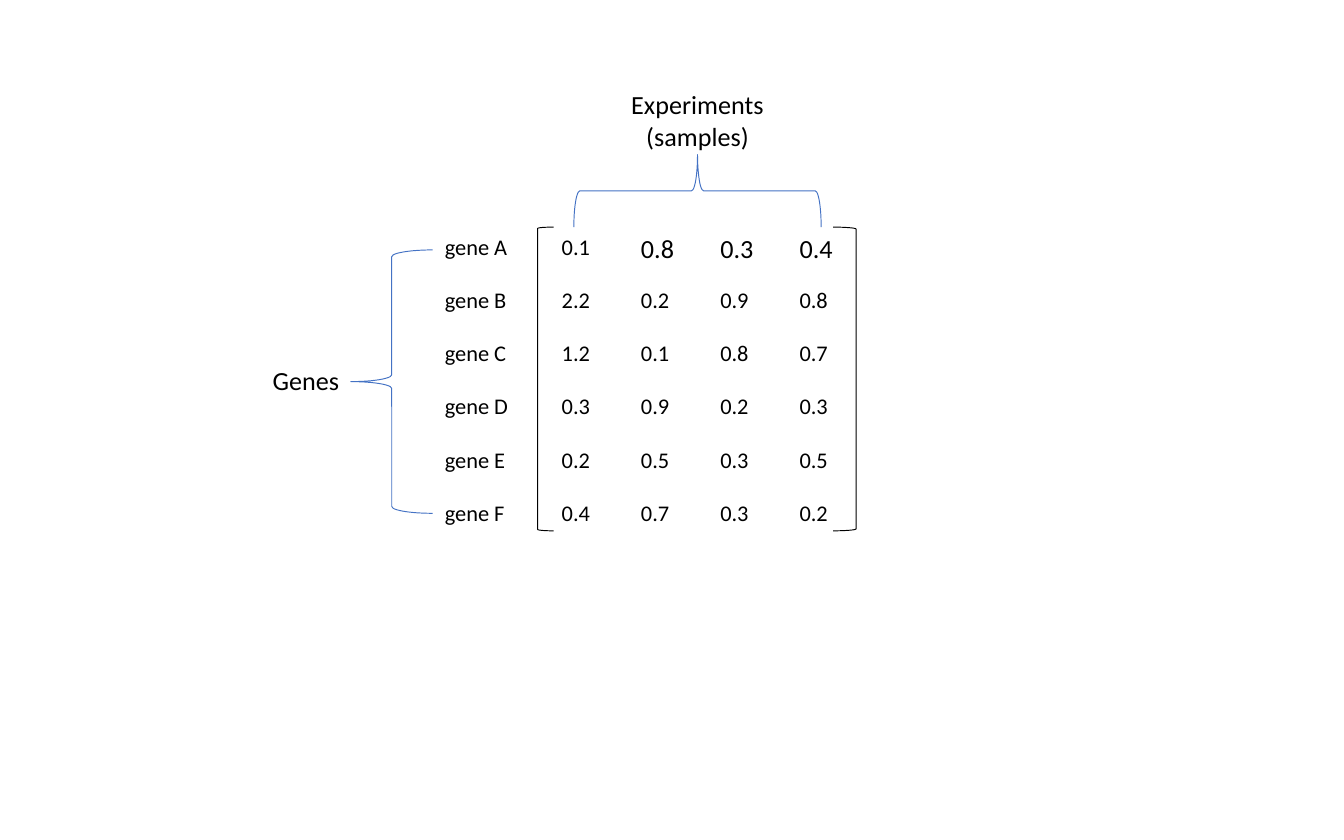
from pptx import Presentation
from pptx.dml.color import RGBColor
from pptx.enum.shapes import MSO_SHAPE
from pptx.enum.text import MSO_AUTO_SIZE, PP_ALIGN
from pptx.util import Inches, Pt

COLORS = {"text": "000000", "bracket": "000000", "brace": "4472C4"}
FONT = "Calibri"

EXPRESSION = [
    ("gene A", "0.1", "0.8", "0.3", "0.4"),
    ("gene B", "2.2", "0.2", "0.9", "0.8"),
    ("gene C", "1.2", "0.1", "0.8", "0.7"),
    ("gene D", "0.3", "0.9", "0.2", "0.3"),
    ("gene E", "0.2", "0.5", "0.3", "0.5"),
    ("gene F", "0.4", "0.7", "0.3", "0.2"),
]
LARGE_CELLS = {(0, 2), (0, 3), (0, 4)}
TABLE_BOX = (3.21, 1.69, 3.23, 2.38)
GENE_WIDTH, VALUE_WIDTH = 0.87, 0.59

# preset, box, colour, rotation
OUTLINES = [
    (MSO_SHAPE.LEFT_BRACKET, (4, 1.69, 0.12, 2.26), "bracket", 0),
    (MSO_SHAPE.RIGHT_BRACKET, (6.2, 1.69, 0.17, 2.26), "bracket", 0),
    (MSO_SHAPE.LEFT_BRACE, (4.92, 0.5, 0.54, 1.84), "brace", 90),
    (MSO_SHAPE.LEFT_BRACE, (2.61, 1.86, 0.61, 1.96), "brace", 0),
]
LABELS = [
    (["Genes"], (1.93, 2.66, 0.7, 0.34), PP_ALIGN.LEFT),
    (["Experiments", "(samples)"], (4.59, 0.61, 1.2, 0.57), PP_ALIGN.CENTER),
]


def inches(box):
    return [Inches(value) for value in box]


def write_text(text_frame, lines, size=12, align=PP_ALIGN.LEFT):
    for index, line in enumerate(lines):
        paragraph = text_frame.paragraphs[0] if index == 0 else text_frame.add_paragraph()
        paragraph.alignment = align
        run = paragraph.add_run()
        run.text = line
        run.font.name = FONT
        run.font.size = Pt(size)
        run.font.color.rgb = RGBColor.from_string(COLORS["text"])


def add_expression_table(slide):
    row_count, column_count = len(EXPRESSION), len(EXPRESSION[0])
    table = slide.shapes.add_table(row_count, column_count, *inches(TABLE_BOX)).table
    table.first_row = False
    table.horz_banding = False
    for index, column in enumerate(table.columns):
        column.width = Inches(VALUE_WIDTH if index else GENE_WIDTH)
    for row_index, values in enumerate(EXPRESSION):
        for column_index, value in enumerate(values):
            cell = table.cell(row_index, column_index)
            cell.fill.background()
            size = 14 if (row_index, column_index) in LARGE_CELLS else 12
            write_text(cell.text_frame, [value], size=size)


def add_outline(slide, preset, box, color, rotation):
    shape = slide.shapes.add_shape(preset, *inches(box))
    shape.rotation = rotation
    shape.shadow.inherit = False
    shape.fill.background()
    shape.line.color.rgb = RGBColor.from_string(COLORS[color])
    shape.line.width = Pt(0.5)


def add_label(slide, lines, box, align):
    text_frame = slide.shapes.add_textbox(*inches(box)).text_frame
    text_frame.word_wrap = False
    text_frame.auto_size = MSO_AUTO_SIZE.SHAPE_TO_FIT_TEXT
    write_text(text_frame, lines, size=14, align=align)


def main():
    presentation = Presentation()
    presentation.slide_width = Inches(10)
    presentation.slide_height = Inches(6.25)
    slide = presentation.slides.add_slide(presentation.slide_layouts[6])
    add_expression_table(slide)
    for outline in OUTLINES:
        add_outline(slide, *outline)
    for label in LABELS:
        add_label(slide, *label)
    presentation.save("out.pptx")


if __name__ == "__main__":
    main()
